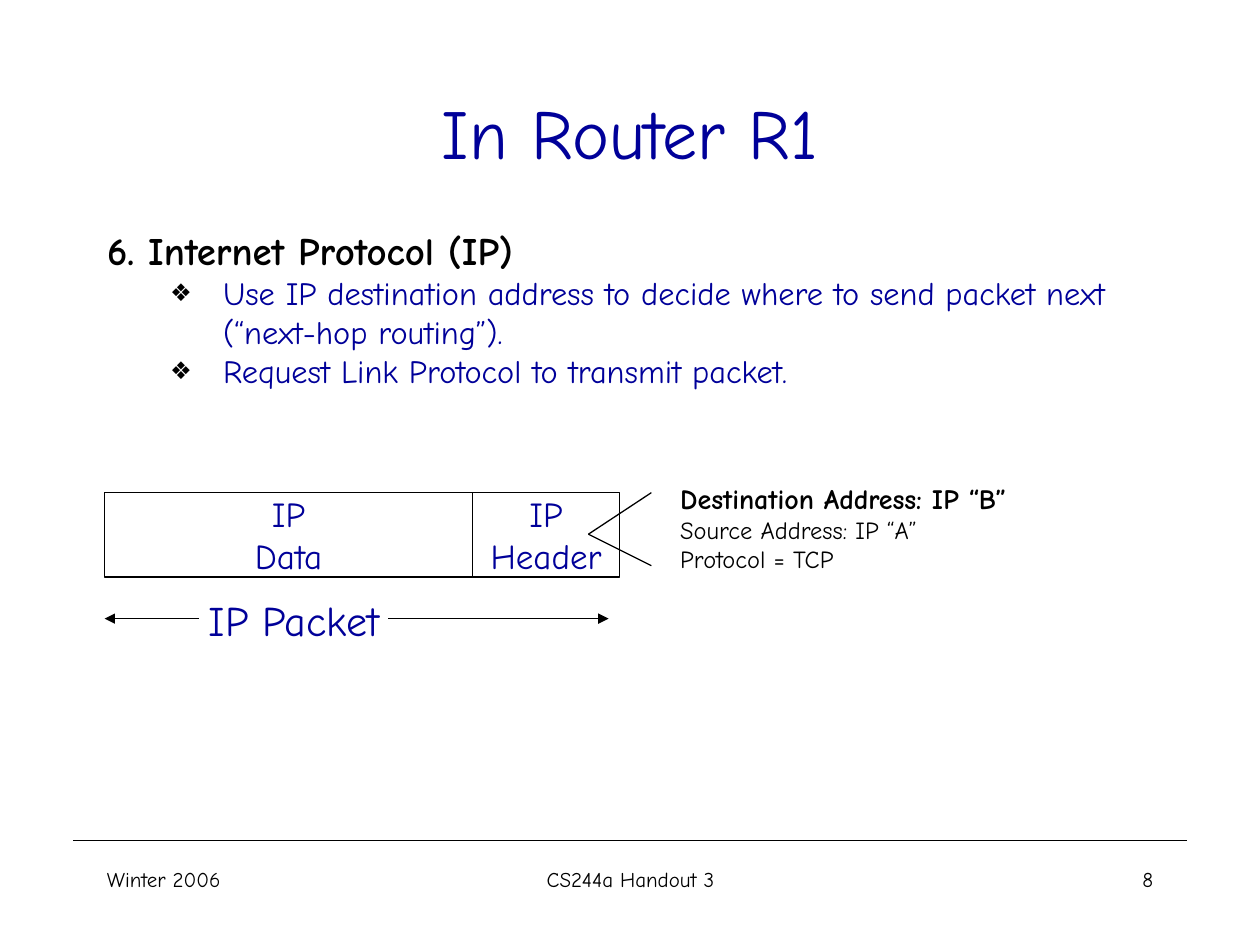
import pptx
import pptx.dml.color
import pptx.enum.shapes
import pptx.enum.text
import pptx.oxml.ns
import pptx.util
from lxml import etree

Inches = pptx.util.Inches
Align = pptx.enum.text.PP_ALIGN
Anchor = pptx.enum.text.MSO_ANCHOR

# Content
TITLE = "In Router R1"
HEADING = "6. Internet Protocol (IP)"
BULLETS = [
    "Use IP destination address to decide where to send packet next (“next-hop routing”).",
    "Request Link Protocol to transmit packet.",
]
PACKET_FIELDS = [("IP\nData", 2.92), ("IP\nHeader", 1.17)]  # text, width
PACKET_LABEL = "IP Packet"
HEADER_DETAILS = ["Destination Address: IP “B”", "Source Address: IP “A”", "Protocol = TCP"]
FOOTERS = [  # text, left, width, alignment
    ("Winter 2006", 0.75, 2.08, Align.LEFT),
    ("CS244a Handout 3", 3.42, 3.17, Align.CENTER),
    ("8", 7.17, 2.08, Align.RIGHT),
]

THEME = {
    "font": "Comic Neue",
    "ink": "000000", "accent": "000099", "paper": "FFFFFF",
    "title": 40, "heading": 22.2, "bullet": 18.5, "field": 20, "label": 24,
    "strong_detail": 16, "detail": 14, "footer": 12, "line": 0.75,
}

# Layout
PACKET_LEFT, PACKET_TOP, PACKET_HEIGHT = 0.83, 3.91, 0.67
ARROW_Y = 4.91
FAN_START = (4.67, 4.24)
FAN_ENDS = [(5.17, 3.91), (5.17, 4.49)]


def color(name):
    return pptx.dml.color.RGBColor.from_string(THEME[name])


def style(paragraph, size, ink="ink", bold=False, alignment=Align.LEFT):
    paragraph.alignment = alignment
    paragraph.space_before = pptx.util.Pt(0)
    for run in paragraph.runs:
        run.font.name = THEME["font"]
        run.font.size = pptx.util.Pt(THEME[size])
        run.font.bold = bold
        run.font.color.rgb = color(ink)


def set_bullet(paragraph, left=0.0, hanging=0.0, character=None):
    properties = paragraph._p.get_or_add_pPr()
    properties.set("marL", str(Inches(left)))
    properties.set("indent", str(-Inches(hanging)))

    def add(parent, tag, **attributes):
        return etree.SubElement(parent, pptx.oxml.ns.qn(tag), attributes)

    if character is None:
        add(properties, "a:buNone")
        return
    add(add(properties, "a:buClr"), "a:srgbClr", val=THEME["ink"])
    add(properties, "a:buSzPct", val="75000")
    add(properties, "a:buChar", char=character)


def place(shape, left, top, width, height):
    shape.left, shape.top = Inches(left), Inches(top)
    shape.width, shape.height = Inches(width), Inches(height)


def add_text(slide, box, text, wrap=True):
    text_frame = slide.shapes.add_textbox(*map(Inches, box)).text_frame
    text_frame.word_wrap = wrap
    text_frame.text = text
    return text_frame.paragraphs


def add_line(slide, start, end, arrow=False):
    connector = slide.shapes.add_connector(
        pptx.enum.shapes.MSO_CONNECTOR.STRAIGHT, *map(Inches, start + end))
    connector.line.color.rgb = color("ink")
    connector.line.width = pptx.util.Pt(THEME["line"])
    if arrow:
        etree.SubElement(connector.line._get_or_add_ln(),
                         pptx.oxml.ns.qn("a:tailEnd"), type="triangle")
    etree.SubElement(connector._element.spPr, pptx.oxml.ns.qn("a:effectLst"))


def add_field(slide, text, left, width):
    shape = slide.shapes.add_shape(
        pptx.enum.shapes.MSO_SHAPE.RECTANGLE,
        *map(Inches, (left, PACKET_TOP, width, PACKET_HEIGHT)))
    shape.shadow.inherit = False
    shape.fill.solid()
    shape.fill.fore_color.rgb = color("paper")
    shape.line.color.rgb = color("ink")
    shape.line.width = pptx.util.Pt(THEME["line"])
    text_frame = shape.text_frame
    text_frame.word_wrap = False
    text_frame.vertical_anchor = Anchor.MIDDLE
    text_frame.text = text
    for paragraph in text_frame.paragraphs:
        style(paragraph, "field", "accent", alignment=Align.CENTER)


def main():
    presentation = pptx.Presentation()
    presentation.slide_width, presentation.slide_height = Inches(10), Inches(7.5)
    slide = presentation.slides.add_slide(presentation.slide_layouts[1])

    # Footer
    add_line(slide, (0.58, 6.67), (9.42, 6.67))
    for text, left, width, alignment in FOOTERS:
        paragraphs = add_text(slide, (left, 6.83, width, 0.5), text)
        style(paragraphs[0], "footer", alignment=alignment)

    # Title
    title = slide.shapes.title
    place(title, 0.75, 0.42, 8.5, 1.25)
    title.text_frame.text = TITLE
    title.text_frame.vertical_anchor = Anchor.MIDDLE
    style(title.text_frame.paragraphs[0], "title", "accent", alignment=Align.CENTER)

    # Heading and bullets
    body = slide.placeholders[1]
    place(body, 0.75, 1.75, 8.5, 1.5)
    body.text_frame.text = "\n".join([HEADING] + BULLETS)
    body.text_frame.auto_size = pptx.enum.text.MSO_AUTO_SIZE.NONE
    heading, *bullets = body.text_frame.paragraphs
    set_bullet(heading, 0.58, 0.58)
    style(heading, "heading", bold=True)
    for paragraph in bullets:
        paragraph.level = 1
        set_bullet(paragraph, 0.92, 0.42, "❖")
        style(paragraph, "bullet", "accent")

    # Packet fields
    left = PACKET_LEFT
    for text, width in PACKET_FIELDS:
        add_field(slide, text, left, width)
        left += width

    # Packet extent
    label = add_text(slide, (1.56, 4.67, 1.57, 0.5), PACKET_LABEL, wrap=False)
    style(label[0], "label", "accent")
    for start, end in [(3.08, 4.83), (1.58, PACKET_LEFT)]:
        add_line(slide, (start, ARROW_Y), (end, ARROW_Y), arrow=True)

    # Header details
    strong, *details = add_text(
        slide, (5.3, 3.77, 2.79, 0.84), "\n".join(HEADER_DETAILS), wrap=False)
    style(strong, "strong_detail", bold=True)
    for paragraph in details:
        style(paragraph, "detail")
    for end in FAN_ENDS:
        add_line(slide, FAN_START, end)

    presentation.save("out.pptx")


if __name__ == "__main__":
    main()
